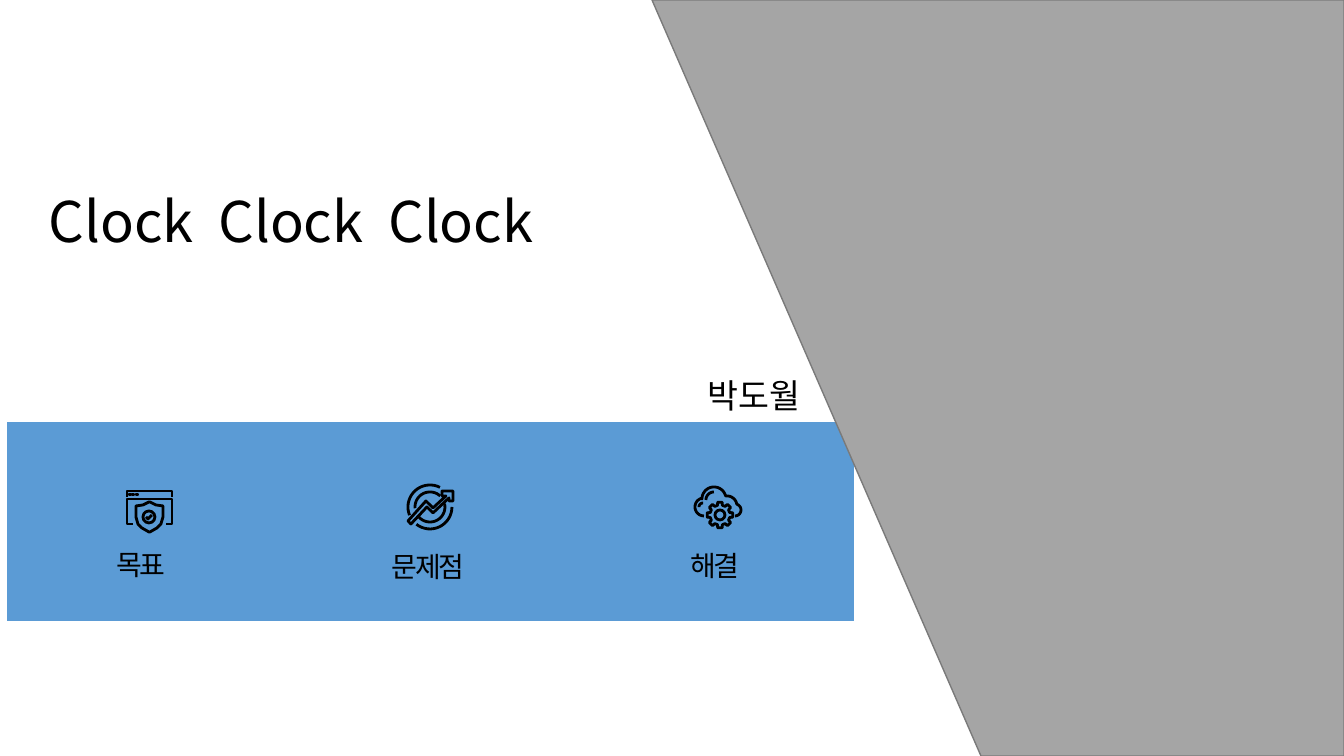
import math

import pptx
import pptx.dml.color
import pptx.enum.shapes
import pptx.enum.text
import pptx.oxml.ns
import pptx.util
from lxml import etree

PX = 914400 / 100.8
FONT = "Noto Sans CJK KR"
BLACK = "000000"
SHAPE = pptx.enum.shapes.MSO_SHAPE


def emu(px):
    return pptx.util.Emu(round(px * PX))


def colour(hex_string):
    return pptx.dml.color.RGBColor.from_string(hex_string)


def paint(shape, fill, line, width):
    shape.shadow.inherit = False
    if fill:
        shape.fill.solid()
        shape.fill.fore_color.rgb = colour(fill)
    else:
        shape.fill.background()
    shape.line.color.rgb = colour(line)
    shape.line.width = pptx.util.Pt(width)


def add_preset(shapes, kind, x, y, width, height, fill, line, line_width):
    shape = shapes.add_shape(kind, emu(x), emu(y), emu(width), emu(height))
    paint(shape, fill, line, line_width)


def add_outline(shapes, points, closed=False, fill=None, line=BLACK, width=2):
    start, *rest = [(emu(x), emu(y)) for x, y in points]
    builder = shapes.build_freeform(*start, scale=1.0)
    builder.add_line_segments(rest, close=closed)
    paint(builder.convert_to_shape(), fill, line, width)


def add_ring(shapes, x, y, radius):
    add_preset(shapes, SHAPE.OVAL, x - radius, y - radius,
               2 * radius, 2 * radius, None, BLACK, 2)


def arc(x, y, radius, start, end):
    """Points on a circle, with angles in degrees clockwise from the right."""
    steps = math.ceil((end - start) / 8)
    angles = [math.radians(start + (end - start) * i / steps) for i in range(steps + 1)]
    return [(x + radius * math.cos(a), y + radius * math.sin(a)) for a in angles]


def add_text(page, text, x, y, width, height, size, label=False):
    """A centred line; a label has no margins, wide leading and tight letters."""
    box = page.shapes.add_textbox(emu(x), emu(y), emu(width), emu(height))
    frame = box.text_frame
    frame.text = text
    frame.word_wrap = not label
    frame.auto_size = pptx.enum.text.MSO_AUTO_SIZE.SHAPE_TO_FIT_TEXT
    para = frame.paragraphs[0]
    para.alignment = pptx.enum.text.PP_ALIGN.CENTER
    span = para.runs[0]
    span.font.size = pptx.util.Pt(size)
    span.font.name = FONT
    span.font.color.rgb = colour(BLACK)
    properties = span.font._element
    east_asian = etree.SubElement(properties, pptx.oxml.ns.qn("a:ea"))
    east_asian.set("typeface", FONT)
    if label:
        frame.margin_left = frame.margin_right = 0
        frame.margin_top = frame.margin_bottom = 0
        para.line_spacing = 1.2
        properties.set("spc", "-150")


def draw_shield_window(icon):
    add_outline(icon, [(127, 497), (127, 491), (172, 491), (172, 497)])
    for x in (129, 132, 136):
        add_preset(icon, SHAPE.RECTANGLE, x, 494, 2, 1, BLACK, BLACK, 1)
    add_outline(icon, [(133, 524), (127, 524), (127, 499),
                       (172, 499), (172, 524), (166, 524)])
    left = [(149, 502), (143, 505), (136, 506), (136, 517),
            (138, 524), (142, 528), (149, 532)]
    right = [(299 - x, y) for x, y in reversed(left)]
    add_outline(icon, left + right, closed=True)
    add_ring(icon, 149, 517, 6)
    add_outline(icon, [(146, 517), (148, 519), (152, 515)])


def draw_target_arrow(icon):
    for radius, start, end in ((22, 0, 128), (22, 158, 297),
                               (15, -13, 143), (15, 175, 313)):
        add_outline(icon, arc(430, 507, radius, start, end))
    add_outline(icon, [(408, 521), (426, 501), (433, 508), (446, 496), (442, 496),
                       (442, 491), (453, 491), (453, 501), (449, 501), (449, 498),
                       (433, 513), (427, 507), (411, 524)], closed=True)


def draw_cloud_gear(icon):
    add_outline(icon, arc(704, 507, 9, 90, 250) + arc(714, 499, 12, 180, 345)
                + arc(727, 506, 10, 270, 350) + arc(735, 510, 6, 290, 450))
    add_outline(icon, arc(714, 500, 8, 180, 270))
    add_outline(icon, arc(703, 507, 4, 180, 270))
    gear = []
    for tooth in range(0, 360, 45):
        for offset, radius in ((-14, 10), (-10, 13), (10, 13), (14, 10)):
            angle = math.radians(tooth + offset)
            gear.append((720 + radius * math.cos(angle), 515 + radius * math.sin(angle)))
    add_outline(icon, gear, closed=True)
    add_ring(icon, 720, 515, 5)


def main():
    deck = pptx.Presentation()
    deck.slide_width, deck.slide_height = emu(1344), emu(756)
    page = deck.slides.add_slide(deck.slide_layouts[6])

    add_preset(page.shapes, SHAPE.RECTANGLE, 6, 421, 849, 201, "5B9BD5", "FFFFFF", 1.5)
    add_outline(page.shapes, [(652, 0), (1344, 0), (1344, 756), (981, 756)],
                closed=True, fill="A5A5A5", line="7A7A7A", width=1)

    topics = [(draw_shield_window, "목표", 116, 541, 50),
              (draw_target_arrow, "문제점", 390, 543, 76),
              (draw_cloud_gear, "해결", 690, 542, 50)]
    for draw_icon, text, x, y, width in topics:
        draw_icon(page.shapes.add_group_shape().shapes)
        add_text(page, text, x, y, width, 37, 20, label=True)

    add_text(page, "Clock  Clock  Clock", 23, 182, 536, 78, 40)
    add_text(page, "박도월", 486, 370, 536, 50, 24)
    deck.save("out.pptx")


if __name__ == "__main__":
    main()
